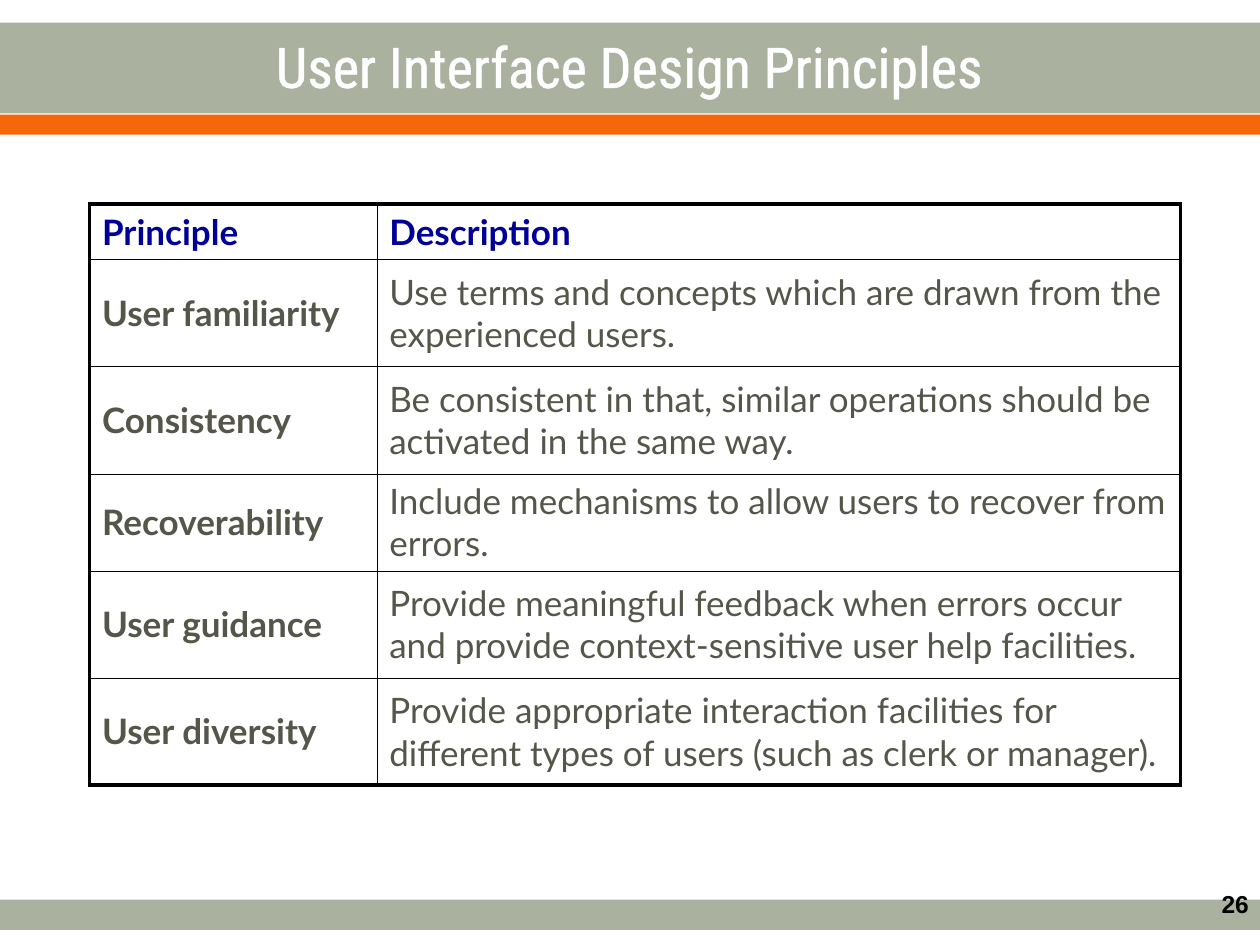
from lxml.etree import SubElement
from pptx import Presentation
from pptx.dml.color import RGBColor
from pptx.enum.shapes import MSO_SHAPE
from pptx.enum.text import MSO_ANCHOR, PP_ALIGN
from pptx.oxml.ns import qn
from pptx.util import Inches, Pt

WHITE, BLACK = "FFFFFF", "000000"
SAGE, ORANGE = "ABB19F", "F4680B"
NAVY, OLIVE = "000099", "55554A"
THIN, THICK = 0.25, 2.25

ROWS = [
    ("Principle", "Description"),
    ("User familiarity",
     "Use terms and concepts which are drawn from the experienced users."),
    ("Consistency",
     "Be consistent in that, similar operations should be activated in the same way."),
    ("Recoverability",
     "Include mechanisms to allow users to recover from errors."),
    ("User guidance",
     "Provide meaningful feedback when errors occur and provide "
     "context-sensitive user help facilities."),
    ("User diversity",
     "Provide appropriate interaction facilities for different types of users "
     "(such as clerk or manager)."),
]
COL_WIDTHS = [2.28, 6.38]
ROW_HEIGHTS = [0.44, 0.85, 0.85, 0.77, 0.85, 0.85]


def rgb(color):
    return RGBColor.from_string(color)


def line_xml(parent, tag, color, width):
    """Add a solid line element such as a:ln or a:lnL."""
    ln = SubElement(parent, qn(tag), w=str(Pt(width)))
    fill = SubElement(ln, qn("a:solidFill"))
    SubElement(fill, qn("a:srgbClr"), val=color)
    return ln


class SlideBuilder:
    body_font = "Lato"
    body_size = 20

    def __init__(self, slide):
        self.s = slide

    def band(self, top, height, color):
        sp = self.s.shapes.add_shape(MSO_SHAPE.RECTANGLE, 0, Inches(top),
                                     Inches(10), Inches(height))
        sp.shadow.inherit = False
        sp.fill.solid()
        sp.fill.fore_color.rgb = rgb(color)
        sp.line.fill.background()

    def run(self, p, text, font, size, color, bold=False):
        r = p.add_run()
        r.text = text
        r.font.name = font
        r.font.size = Pt(size)
        r.font.bold = bold
        r.font.color.rgb = rgb(color)
        return r

    def text(self, box, text, font, size, color, align, anchor, bold=False):
        sp = self.s.shapes.add_textbox(*map(Inches, box))
        tf = sp.text_frame
        tf.word_wrap = True
        tf.vertical_anchor = anchor
        p = tf.paragraphs[0]
        p.alignment = align
        return self.run(p, text, font, size, color, bold)

    def outline(self, r, color, width):
        rPr = r.font._element
        rPr.insert(0, line_xml(rPr, "a:ln", color, width))

    def borders(self, cell, **widths):
        tcPr = cell._tc.get_or_add_tcPr()
        for i, side in enumerate("LRTB"):
            tcPr.insert(i, line_xml(tcPr, f"a:ln{side}", BLACK, widths[side]))

    def table(self, left, top, rows, col_widths, row_heights):
        n_rows, n_cols = len(rows), len(col_widths)
        table = self.s.shapes.add_table(
            n_rows, n_cols, Inches(left), Inches(top),
            Inches(sum(col_widths)), Inches(sum(row_heights))).table
        table.first_row = table.horz_banding = False
        for col, width in zip(table.columns, col_widths):
            col.width = Inches(width)
        for i, (row, height) in enumerate(zip(rows, row_heights)):
            table.rows[i].height = Inches(height)
            for j, text in enumerate(row):
                cell = table.cell(i, j)
                cell.vertical_anchor = MSO_ANCHOR.MIDDLE
                cell.fill.background()
                self.run(cell.text_frame.paragraphs[0], text,
                         self.body_font, self.body_size,
                         NAVY if i == 0 else OLIVE, i == 0 or j == 0)
                # Thick frame around the table, thin lines inside
                self.borders(cell,
                             L=THICK if j == 0 else THIN,
                             R=THICK if j == n_cols - 1 else THIN,
                             T=THICK if i == 0 else THIN,
                             B=THICK if i == n_rows - 1 else THIN)


def main():
    prs = Presentation()
    prs.slide_width, prs.slide_height = Inches(10), Inches(7.5)
    s = SlideBuilder(prs.slides.add_slide(prs.slide_layouts[6]))

    # Footer and header bands
    s.band(7.14, 0.24, SAGE)
    s.band(0.11, 1.59, WHITE)
    s.band(0.18, 0.72, SAGE)
    s.band(0.91, 0.16, ORANGE)

    # Page number and title
    s.text((7.68, 7.01, 2.33, 0.52), "26", "Arial", 14, BLACK,
           PP_ALIGN.RIGHT, MSO_ANCHOR.TOP, bold=True)
    title = s.text((0, 0.05, 10, 0.94), "User Interface Design Principles",
                   "Roboto Condensed", 32, WHITE,
                   PP_ALIGN.CENTER, MSO_ANCHOR.MIDDLE)
    s.outline(title, WHITE, 1.1)

    # Principles table
    s.table(0.71, 1.62, ROWS, COL_WIDTHS, ROW_HEIGHTS)

    prs.save("out.pptx")


if __name__ == "__main__":
    main()
